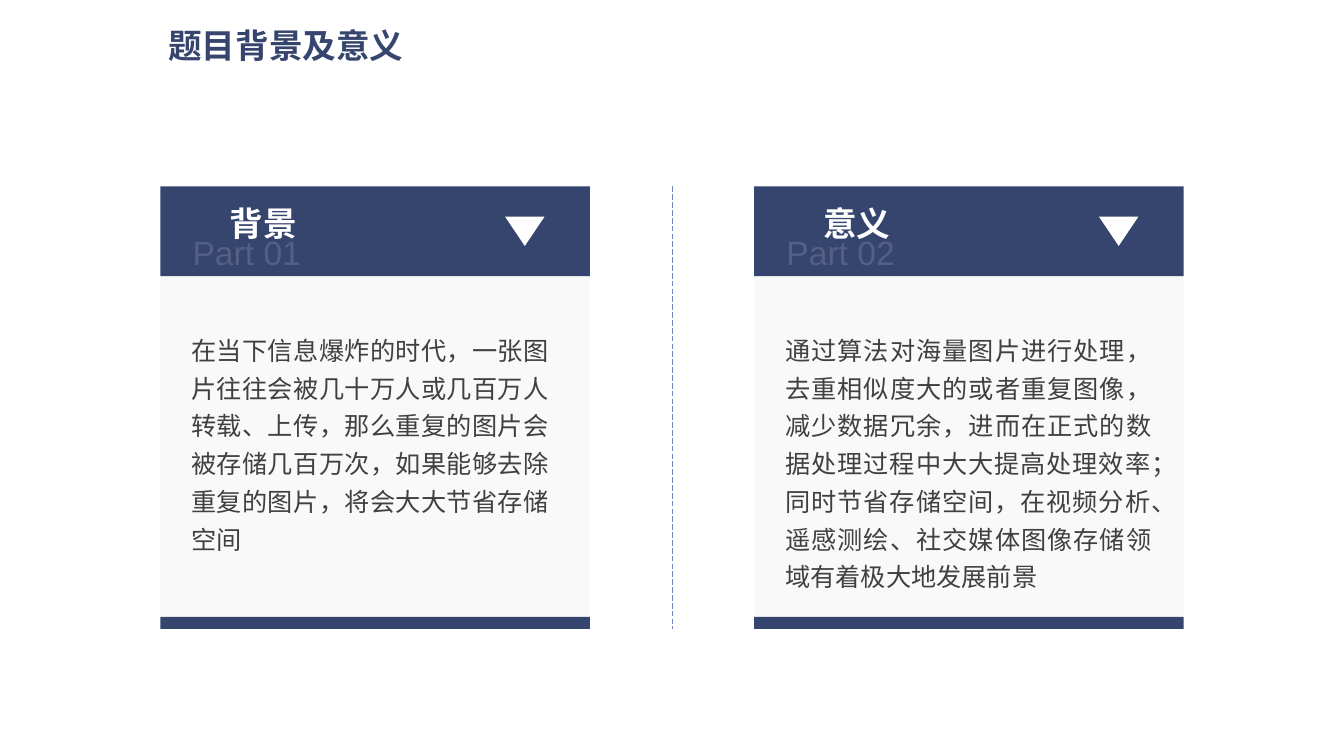
from lxml.etree import SubElement
from pptx import Presentation
from pptx.dml.color import RGBColor
from pptx.enum.dml import MSO_LINE
from pptx.enum.shapes import MSO_CONNECTOR, MSO_SHAPE
from pptx.enum.text import MSO_ANCHOR, MSO_AUTO_SIZE as FIT, PP_ALIGN as AL
from pptx.oxml.ns import qn
from pptx.util import Inches as I, Pt

NAVY, WHITE, PALE, GREY, RULE = "36456E", "FFFFFF", "F2F2F2", "404040", "7487BB"
CJK = "Noto Sans CJK SC"


def paint(fill, color, alpha=100):
    fill.solid()
    fill.fore_color.rgb = RGBColor.from_string(color)
    if alpha < 100:
        clr = fill._xPr.find(qn("a:solidFill"))[0]
        SubElement(clr, qn("a:alpha")).set("val", str(alpha * 1000))


def add_text(box, text, size, color, font=CJK, bold=False, align=AL.JUSTIFY,
             spacing=1.0, alpha=100, wrap=True, fit=FIT.SHAPE_TO_FIT_TEXT):
    """Add a text box at box (left, top, width, height in inches)."""
    tf = s.shapes.add_textbox(*map(I, box)).text_frame
    tf.word_wrap = wrap
    tf.auto_size = fit
    p = tf.paragraphs[0]
    p.alignment = align
    p.line_spacing = spacing
    r = p.add_run()
    r.text = text
    r.font.size, r.font.bold, r.font.name = Pt(size), bold, font
    paint(r.font.fill, color, alpha)
    SubElement(r.font._element, qn("a:ea")).set("typeface", font)
    return tf


prs = Presentation()
prs.slide_width, prs.slide_height = I(13.33), I(7.5)
s = prs.slides.add_slide(prs.slide_layouts[6])

# Panel grid
LEFT, PITCH, PANEL_W = 1.59, 5.89, 4.26
TOP, HEAD_H, BODY_TOP, FOOT_TOP, FOOT_H = 1.85, 0.89, 2.51, 6.12, 0.12
BOTTOM = FOOT_TOP + FOOT_H

# Title and centre divider
tf = add_text((1.57, 0.25, 3.98, 0.44), "题目背景及意义", 24, NAVY, bold=True,
              align=AL.LEFT, spacing=0.9, fit=FIT.NONE)
tf.vertical_anchor = MSO_ANCHOR.MIDDLE

divider = s.shapes.add_connector(MSO_CONNECTOR.STRAIGHT, I(6.67), I(TOP), I(6.67), I(BOTTOM))
paint(divider.line.fill, RULE)
divider.line.width = Pt(0.5)
divider.line.dash_style = MSO_LINE.LONG_DASH
SubElement(divider._element.spPr, qn("a:effectLst"))

panels = [
    ("背景", "Part 01", 3.74, 2.34,
     "在当下信息爆炸的时代，一张图片往往会被几十万人或几百万人转载、上传，"
     "那么重复的图片会被存储几百万次，如果能够去除重复的图片，将会大大节省存储空间"),
    ("意义", "Part 02", 3.83, 2.72,
     "通过算法对海量图片进行处理，去重相似度大的或者重复图像，减少数据冗余，"
     "进而在正式的数据处理过程中大大提高处理效率；同时节省存储空间，"
     "在视频分析、遥感测绘、社交媒体图像存储领域有着极大地发展前景"),
]
for i, (heading, part, text_w, text_h, body) in enumerate(panels):
    x = LEFT + i * PITCH
    parts = [
        (MSO_SHAPE.RECTANGLE, x, BODY_TOP, PANEL_W, FOOT_TOP - BODY_TOP, PALE, 40),
        (MSO_SHAPE.RECTANGLE, x, TOP, PANEL_W, HEAD_H, NAVY, 100),
        (MSO_SHAPE.RECTANGLE, x, FOOT_TOP, PANEL_W, FOOT_H, NAVY, 100),
        (MSO_SHAPE.ISOSCELES_TRIANGLE, x + 3.42, 2.15, 0.39, 0.29, WHITE, 100),
    ]
    for kind, left, top, w, h, color, alpha in parts:
        sp = s.shapes.add_shape(kind, I(left), I(top), I(w), I(h))
        sp.shadow.inherit = False
        paint(sp.fill, color, alpha)
        sp.line.fill.background()
        if kind == MSO_SHAPE.ISOSCELES_TRIANGLE:
            sp.rotation = 180

    add_text((x + 0.21, 3.2, text_w, text_h), body, 18, GREY, spacing=1.25)
    tf = add_text((x + 0.13, 2.25, 2.11, 0.5), part, 24, WHITE, font="Arial", alpha=15)
    tf.margin_left = I(0.19)
    add_text((x + 0.58, 1.96, 0.88, 0.5), heading, 24, WHITE, bold=True,
             align=AL.CENTER, wrap=False)

prs.save("out.pptx")
